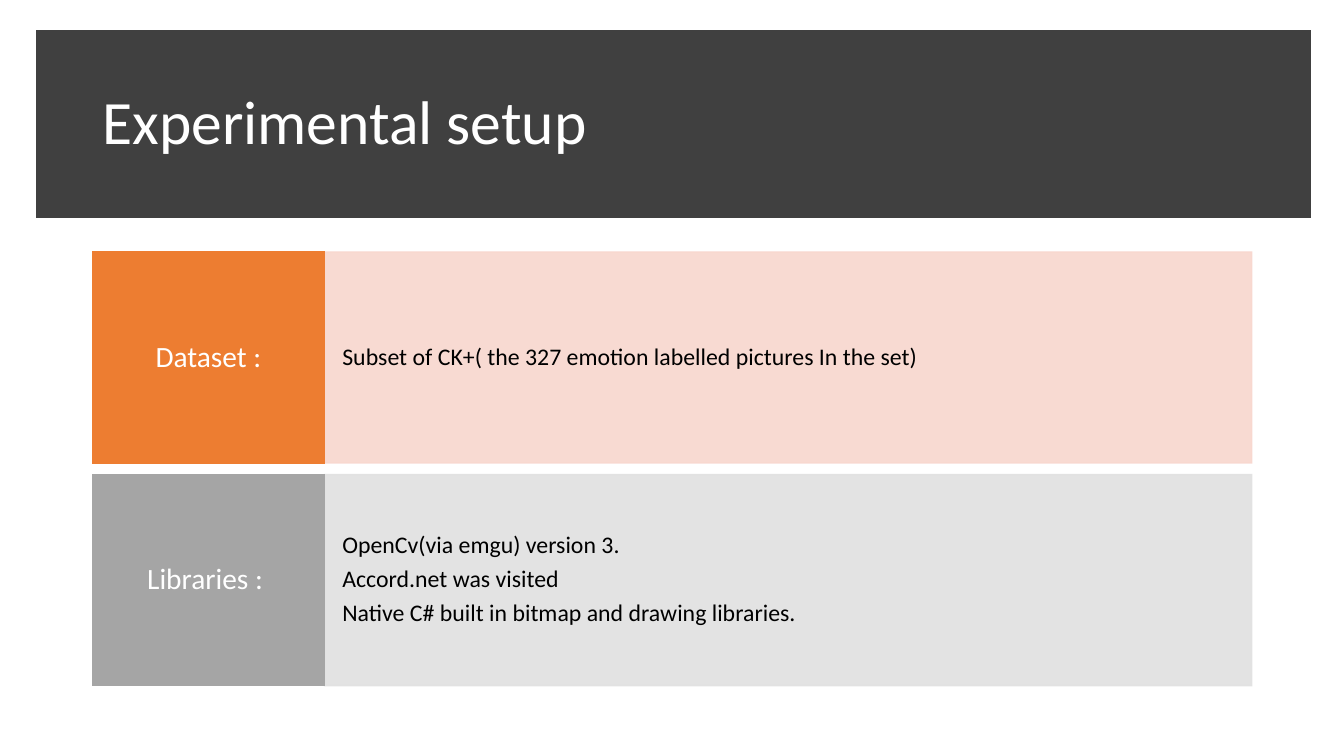
"""Build the experimental setup slide with two labelled rows."""
from lxml import etree
from pptx import Presentation
from pptx.dml.color import RGBColor
from pptx.enum.shapes import MSO_SHAPE
from pptx.enum.text import MSO_ANCHOR, MSO_AUTO_SIZE, PP_ALIGN
from pptx.oxml.ns import qn
from pptx.util import Pt

RECTANGLE = MSO_SHAPE.RECTANGLE
MIDDLE = MSO_ANCHOR.MIDDLE
NO_AUTOFIT = MSO_AUTO_SIZE.NONE
LEFT, CENTER = PP_ALIGN.LEFT, PP_ALIGN.CENTER
EMU_PER_PX = 9525
FONT = "Calibri"
WHITE, BLACK, CHARCOAL = "FFFFFF", "000000", "404040"
TITLE_ONLY_LAYOUT = 5

ROW_TOP, ROW_HEIGHT, ROW_PITCH = 240, 201, 212
LABEL_LEFT, LABEL_WIDTH, DETAIL_WIDTH = 88, 221, 883
ROWS = [
    ("Dataset :", "ED7D31", "F8D7CE",
     ["Subset of CK+( the 327 emotion labelled pictures In the set)"]),
    ("Libraries : ", "A5A5A5", "E1E1E1",
     ["OpenCv(via emgu) version 3.",
      "Accord.net was visited",
      "Native C# built in bitmap and drawing libraries."]),
]


def px(length):
    return length * EMU_PER_PX


def paint(fill, color):
    fill.solid()
    fill.fore_color.rgb = RGBColor.from_string(color)


def set_opacity(shape, percent):
    for color_element in shape.element.spPr.iter(qn("a:srgbClr")):
        alpha = etree.SubElement(color_element, qn("a:alpha"))
        alpha.set("val", str(percent * 1000))


def add_block(slide, left, top, width, height, color, line_width=1):
    shape = slide.shapes.add_shape(RECTANGLE, px(left), px(top), px(width), px(height))
    shape.shadow.inherit = False
    paint(shape.fill, color)
    paint(shape.line.fill, color)
    shape.line.width = Pt(line_width)
    line_element = shape.element.spPr.find(qn("a:ln"))
    etree.SubElement(line_element, qn("a:miter")).set("lim", "800000")
    return shape


def write_lines(shape, lines, size, color, alignment, space_after=0):
    frame = shape.text_frame
    frame.text = "\n".join(lines)
    frame.word_wrap = True
    frame.auto_size = NO_AUTOFIT
    frame.vertical_anchor = MIDDLE
    for paragraph in frame.paragraphs:
        paragraph.alignment = alignment
        paragraph.line_spacing = 0.9
        paragraph.space_before = Pt(0)
        paragraph.space_after = Pt(space_after)
        paragraph.font.name = FONT
        paragraph.font.size = Pt(size)
        paragraph.font.color.rgb = RGBColor.from_string(color)


def set_insets(shape, horizontal, vertical):
    frame = shape.text_frame
    frame.margin_left = frame.margin_right = px(horizontal)
    frame.margin_top = frame.margin_bottom = px(vertical)


def add_title(slide, text):
    band = add_block(slide, 41, 35, 1201, 166, CHARCOAL, line_width=10)
    title = slide.shapes.title
    title.left, title.top, title.width, title.height = map(px, (88, 49, 1104, 139))
    write_lines(title, [text], 44, WHITE, LEFT)
    band.element.addnext(title.element)


def add_row(slide, top, label_text, label_color, detail_color, lines):
    detail = add_block(slide, LABEL_LEFT + LABEL_WIDTH, top, DETAIL_WIDTH,
                       ROW_HEIGHT, detail_color)
    set_opacity(detail, 90)
    set_insets(detail, 17, 51)
    write_lines(detail, lines, 17, BLACK, LEFT, space_after=6)
    label = add_block(slide, LABEL_LEFT, top, LABEL_WIDTH, ROW_HEIGHT, label_color)
    set_insets(label, 12, 20)
    write_lines(label, [label_text], 21, WHITE, CENTER, space_after=7)


def main():
    presentation = Presentation()
    presentation.slide_width, presentation.slide_height = px(1280), px(720)
    slide = presentation.slides.add_slide(presentation.slide_layouts[TITLE_ONLY_LAYOUT])
    add_title(slide, "Experimental setup")
    for index, row in enumerate(ROWS):
        add_row(slide, ROW_TOP + index * ROW_PITCH, *row)
    presentation.save("out.pptx")


if __name__ == "__main__":
    main()
